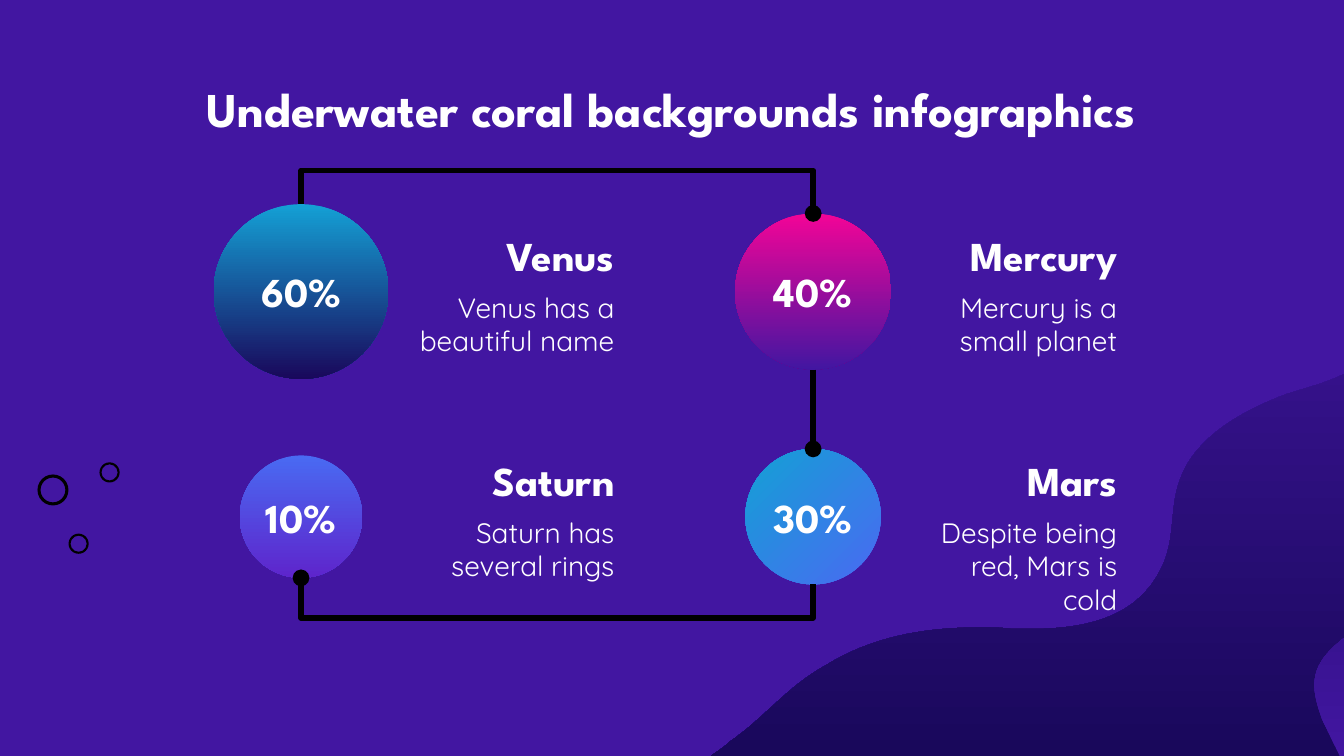
import pptx
import pptx.dml.color
import pptx.enum.shapes
import pptx.enum.text
import pptx.oxml
import pptx.oxml.ns
import pptx.util

Pt = pptx.util.Pt
RGBColor = pptx.dml.color.RGBColor
ALIGN = pptx.enum.text.PP_ALIGN
ANCHOR = pptx.enum.text.MSO_ANCHOR
SHAPE = pptx.enum.shapes.MSO_SHAPE
CONNECTOR = pptx.enum.shapes.MSO_CONNECTOR

PURPLE = RGBColor(0x42, 0x16, 0xA1)
NAVY = RGBColor(0x19, 0x08, 0x5B)
CYAN = RGBColor(0x14, 0xA0, 0xD5)
PINK = RGBColor(0xF3, 0x04, 0x97)
BLUE = RGBColor(0x49, 0x6A, 0xF2)
VIOLET = RGBColor(0x5E, 0x25, 0xCC)
WHITE = RGBColor(0xFF, 0xFF, 0xFF)
BLACK = RGBColor(0, 0, 0)

HEADING_FONT = "League Spartan"
BODY_FONT = "Quicksand"
DOWN, UP, DIAGONAL = 270, 90, 135  # counter-clockwise gradient angles

LEFT_X, RIGHT_X = 161.3, 435.6  # circle centres
TOP_Y, BOTTOM_Y = 156.2, 276.8
TEXT_LEFT = {LEFT_X: 211.7, RIGHT_X: 481}
TEXT_WIDTH = 124.6

# name, description, share, centre x, centre y, diameter, colours, angle
PLANETS = [
    ("Venus", "Venus has a beautiful name", "60%", LEFT_X, TOP_Y, 93.6, (CYAN, NAVY), DOWN),
    ("Mercury", "Mercury is a small planet", "40%", RIGHT_X, TOP_Y, 83.6, (PINK, PURPLE), DOWN),
    ("Mars", "Despite being red, Mars is cold", "30%", RIGHT_X, BOTTOM_Y, 72.6, (BLUE, CYAN), DIAGONAL),
    ("Saturn", "Saturn has several rings", "10%", LEFT_X, BOTTOM_Y, 65.6, (BLUE, VIOLET), DOWN),
]

# Each wave: start point, then Bezier triples (two controls and an end point)
LARGE_WAVE = [
    (765.4, 102.2),
    (753.8, 111.6), (747.4, 123.1), (745.2, 136.1),
    (742.3, 155.5), (751.7, 172.8), (735.8, 189.4),
    (724.3, 201.6), (706.3, 205.9), (689.8, 211),
    (664.6, 220.3), (640.1, 234.7), (632.2, 257),
    (626.4, 272.2), (630, 289.4), (622.1, 304.6),
    (609.8, 329.8), (583.9, 337), (553, 337),
    (549.4, 337), (545.8, 337), (542.2, 337),
    (536.4, 336.2), (530.6, 336.2), (524.9, 336.2),
    (494.6, 336.2), (466.6, 341.3), (441.4, 357.1),
    (421.9, 367.9), (409, 385.2), (391, 397.4),
    (388.1, 400.3), (384.5, 402.5), (380.9, 405),
]
SMALL_WAVE = [
    (718.6, 406.8),
    (715, 399.6), (712.1, 393.1), (708.5, 385.9),
    (704.2, 373.7), (700.6, 362.2), (710.6, 350.6),
    (717.1, 342.7), (728, 336.2), (737.3, 329),
    (746.6, 322.6), (754.6, 313.9), (759.6, 305.3),
    (772.6, 285.8), (776.2, 264.9), (779, 244.1),
    (782.6, 222.5), (785.5, 199.4), (802.1, 180),
    (810.7, 169.2), (823, 160.6), (838.8, 154.8),
]

# left, top, diameter
BUBBLES = [(53.3, 247.7, 10.8), (20.1, 254.2, 16.6), (36.7, 285.9, 10.8)]


def write(shape, text, size=22, font=HEADING_FONT, bold=True,
          align=ALIGN.CENTER, anchor=ANCHOR.TOP, inset=7.2):
    frame = shape.text_frame
    frame.word_wrap = True
    frame.auto_size = pptx.enum.text.MSO_AUTO_SIZE.NONE
    frame.vertical_anchor = anchor
    frame.margin_left = frame.margin_right = Pt(inset)
    frame.margin_top = frame.margin_bottom = Pt(inset)
    paragraph = frame.paragraphs[0]
    paragraph.alignment = align
    run = paragraph.add_run()
    run.text = text
    run.font.size = Pt(size)
    run.font.name = font
    run.font.bold = bold
    run.font.color.rgb = WHITE


def fill_gradient(shape, colours, angle):
    shape.shadow.inherit = False
    shape.line.fill.background()
    shape.fill.gradient()
    shape.fill.gradient_angle = angle
    for stop, colour in zip(shape.fill.gradient_stops, colours):
        stop.color.rgb = colour


def curve_points(nodes, steps=16):
    """Sample a chain of cubic Bezier curves, in points."""
    points = [nodes[0]]
    for i in range(0, len(nodes) - 1, 3):
        curve = nodes[i:i + 4]
        for step in range(1, steps + 1):
            t = step / steps
            weights = ((1 - t) ** 3, 3 * t * (1 - t) ** 2, 3 * t * t * (1 - t), t ** 3)
            points.append(tuple(sum(w * node[axis] for w, node in zip(weights, curve))
                                for axis in (0, 1)))
    return points


def add_wave(slide, nodes, corner, angle):
    outline = [(Pt(x), Pt(y)) for x, y in curve_points(nodes) + [corner]]
    builder = slide.shapes.build_freeform(*outline[0])
    builder.add_line_segments(outline[1:], close=True)
    fill_gradient(builder.convert_to_shape(), (PURPLE, NAVY), angle)


def add_bubble(slide, left, top, diameter):
    ring = slide.shapes.add_shape(SHAPE.DONUT, Pt(left), Pt(top), Pt(diameter), Pt(diameter))
    ring.adjustments[0] = 0.1
    ring.shadow.inherit = False
    ring.fill.solid()
    ring.fill.fore_color.rgb = BLACK
    ring.line.fill.background()


def add_planet(slide, name, description, share, x, y, diameter, colours, angle):
    left = Pt(TEXT_LEFT[x])
    heading = slide.shapes.add_textbox(left, Pt(y - 36.8), Pt(TEXT_WIDTH), Pt(37.4))
    write(heading, name, align=ALIGN.RIGHT, anchor=ANCHOR.BOTTOM)
    body = slide.shapes.add_textbox(left, Pt(y - 8), Pt(TEXT_WIDTH), Pt(44.6))
    write(body, description, size=15, font=BODY_FONT, bold=False, align=ALIGN.RIGHT)
    circle = slide.shapes.add_shape(SHAPE.OVAL, Pt(x - diameter / 2), Pt(y - diameter / 2),
                                    Pt(diameter), Pt(diameter))
    fill_gradient(circle, colours, angle)
    write(circle, share, anchor=ANCHOR.MIDDLE, inset=0)


def add_link(slide, kind, x1, y1, x2, y2):
    """Add a black line with a dot at its end."""
    link = slide.shapes.add_connector(kind, Pt(x1), Pt(y1), Pt(x2), Pt(y2))
    link.line.color.rgb = BLACK
    link.line.width = Pt(3)
    tail = pptx.oxml.parse_xml(
        f'<a:tailEnd {pptx.oxml.ns.nsdecls("a")} type="oval"/>')
    link.line._get_or_add_ln().append(tail)
    link._element.spPr.append(
        pptx.oxml.parse_xml(f'<a:effectLst {pptx.oxml.ns.nsdecls("a")}/>'))
    return link


def add_bracket(slide, x1, y1, x2, y2, rail):
    """Link two points vertically by way of a horizontal rail.

    The elbow is laid out sideways and turned by a quarter about its centre.
    It runs either down to the right or up to the left.
    """
    x, y = (x1 + x2) / 2, (y1 + y2) / 2
    across, along = abs(x2 - x1) / 2, abs(y2 - y1) / 2
    link = add_link(slide, CONNECTOR.ELBOW, x + along, y - across, x - along, y + across)
    properties = link._element.spPr
    turn = 270 if y2 > y1 else 90
    properties.find(pptx.oxml.ns.qn("a:xfrm")).set("rot", str(turn * 60000))
    bend = round((rail - y1) / (y2 - y1) * 100000)
    properties.find(".//" + pptx.oxml.ns.qn("a:avLst")).append(pptx.oxml.parse_xml(
        f'<a:gd {pptx.oxml.ns.nsdecls("a")} name="adj1" fmla="val {bend}"/>'))


def main():
    deck = pptx.Presentation()
    deck.slide_width, deck.slide_height = Pt(720), Pt(405)
    slide = deck.slides.add_slide(deck.slide_layouts[5])
    slide.background.fill.solid()
    slide.background.fill.fore_color.rgb = PURPLE

    add_wave(slide, LARGE_WAVE, (765.4, 405), DOWN)
    add_wave(slide, SMALL_WAVE, (838.8, 406.8), UP)
    for bubble in BUBBLES:
        add_bubble(slide, *bubble)

    title = slide.shapes.title
    title.left, title.top, title.width, title.height = Pt(24.5), Pt(35.3), Pt(671), Pt(45.4)
    write(title, "Underwater coral backgrounds infographics", size=26)

    for planet in PLANETS:
        add_planet(slide, *planet)

    venus, mercury, mars, saturn = (planet[5] / 2 for planet in PLANETS)
    add_bracket(slide, LEFT_X, TOP_Y - venus, RIGHT_X, TOP_Y - mercury, rail=91.3)
    add_link(slide, CONNECTOR.STRAIGHT, RIGHT_X, TOP_Y + mercury, RIGHT_X, BOTTOM_Y - mars)
    add_bracket(slide, RIGHT_X, BOTTOM_Y + mars, LEFT_X, BOTTOM_Y + saturn, rail=331.2)

    deck.save("out.pptx")


if __name__ == "__main__":
    main()
